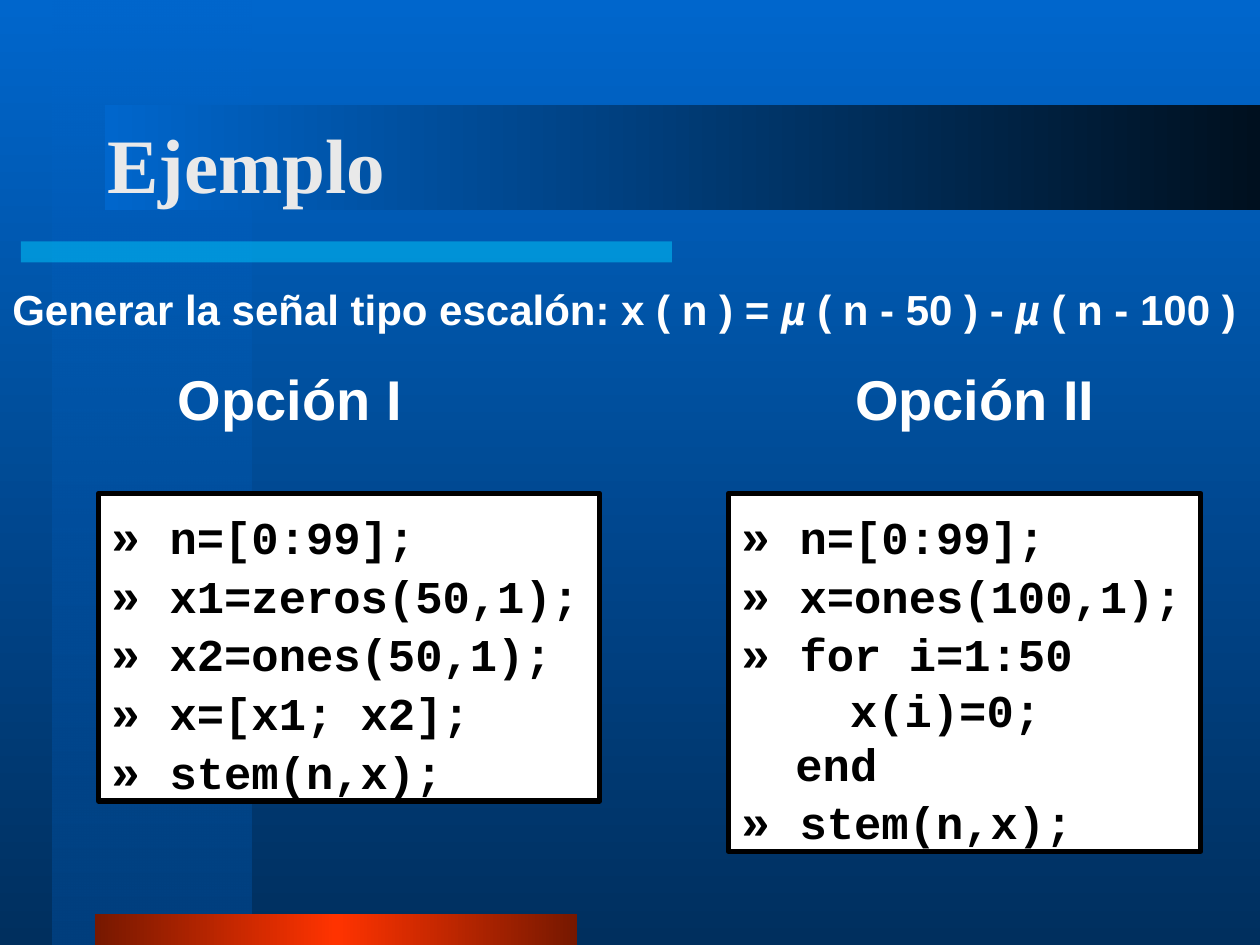
from dataclasses import dataclass
from typing import Optional

import lxml.etree
import pptx
import pptx.dml.color
import pptx.enum.shapes
import pptx.enum.text
import pptx.oxml.ns
import pptx.util

Pt = pptx.util.Pt
RGB = pptx.dml.color.RGBColor
ANCHOR = pptx.enum.text.MSO_ANCHOR
qn = pptx.oxml.ns.qn

BLUE = RGB(0x00, 0x66, 0xCC)
DEEP_BLUE = RGB(0x00, 0x2F, 0x5E)
MID_BLUE = RGB(0x00, 0x3F, 0x7E)
NIGHT = RGB(0x00, 0x10, 0x1F)
CYAN = RGB(0x00, 0xCC, 0xFF)
RED = RGB(0xFF, 0x33, 0x00)
DARK_RED = RGB(0x76, 0x18, 0x00)
PALE = RGB(0xE9, 0xE9, 0xE9)
WHITE = RGB(0xFF, 0xFF, 0xFF)
BLACK = RGB(0x00, 0x00, 0x00)

RIGHTWARD, DOWNWARD = 0, 270
PROMPT = "» "
PROMPT_SIZE, CODE_SIZE = 28, 26
PROMPT_PITCH, CODE_PITCH = 33.5, 31.2
CHAR_WIDTH = CODE_SIZE * 0.6


@dataclass
class Box:
    left: float
    top: float
    width: float
    height: float


@dataclass
class Stop:
    color: RGB
    alpha: int = 100


@dataclass
class Band:
    box: Box
    stops: list[Stop]
    angle: int = RIGHTWARD


@dataclass
class CodeLine:
    text: str
    indent: Optional[int] = None


@dataclass
class Listing:
    box: Box
    lines: list[CodeLine]


BANDS = [
    Band(Box(30, 0, 114, 540), [Stop(BLUE, 50), Stop(MID_BLUE)], DOWNWARD),
    Band(Box(12, 138, 372, 12), [Stop(CYAN, 50), Stop(CYAN, 50)]),
    Band(Box(54, 522, 276, 18), [Stop(DARK_RED), Stop(RED), Stop(DARK_RED)]),
    Band(Box(60, 60, 660, 60), [Stop(BLUE), Stop(NIGHT)]),
]

LISTINGS = [
    Listing(Box(56.25, 282, 286.5, 175.75), [
        CodeLine("n=[0:99];"),
        CodeLine("x1=zeros(50,1);"),
        CodeLine("x2=ones(50,1);"),
        CodeLine("x=[x1; x2];"),
        CodeLine("stem(n,x);"),
    ]),
    Listing(Box(416.25, 282, 270, 204.5), [
        CodeLine("n=[0:99];"),
        CodeLine("x=ones(100,1);"),
        CodeLine("for i=1:50"),
        CodeLine("x(i)=0;", 4),
        CodeLine("end", 2),
        CodeLine("stem(n,x);"),
    ]),
]

FORMULA = [
    ("Generar la señal tipo escalón: x ( n ) = ", False),
    ("µ ", True),
    ("( n - 50 ) - ", False),
    ("µ ", True),
    ("( n - 100 )", False),
]


def set_all(target, values: dict) -> None:
    for name, value in values.items():
        setattr(target, name, value)


def lengths(box: Box) -> list:
    return [Pt(v) for v in (box.left, box.top, box.width, box.height)]


def set_gradient(fill, element, stops: list[Stop], angle: int) -> None:
    fill.gradient()
    fill.gradient_angle = angle
    gs_list = next(element.iter(qn("a:gsLst")))
    for gs in list(gs_list):
        gs_list.remove(gs)
    for i, stop in enumerate(stops):
        gs = lxml.etree.SubElement(gs_list, qn("a:gs"), pos=str(i * 100000 // (len(stops) - 1)))
        clr = lxml.etree.SubElement(gs, qn("a:srgbClr"), val=str(stop.color))
        if stop.alpha < 100:
            lxml.etree.SubElement(clr, qn("a:alpha"), val=str(stop.alpha * 1000))


def add_rect(s, box: Box):
    sp = s.shapes.add_shape(pptx.enum.shapes.MSO_SHAPE.RECTANGLE, *lengths(box))
    sp.shadow.inherit = False
    return sp


def add_band(s, band: Band) -> None:
    sp = add_rect(s, band.box)
    set_gradient(sp.fill, sp.element, band.stops, band.angle)
    sp.line.fill.background()


def add_run(p, text: str, size: float, font: str, color: RGB, italic: bool = False) -> None:
    r = p.add_run()
    r.text = text
    set_all(r.font, {"size": Pt(size), "name": font, "bold": True, "italic": italic})
    r.font.color.rgb = color


def format_frame(tf, top: float = 3.6, right: float = 7.2, anchor=ANCHOR.TOP) -> None:
    set_all(tf, {
        "word_wrap": True,
        "auto_size": pptx.enum.text.MSO_AUTO_SIZE.NONE,
        "vertical_anchor": anchor,
        "margin_left": Pt(7.2),
        "margin_right": Pt(right),
        "margin_top": Pt(top),
        "margin_bottom": Pt(3.6),
    })


def add_text(s, box: Box, top: float, right: float = 7.2):
    tf = s.shapes.add_textbox(*lengths(box)).text_frame
    format_frame(tf, top, right)
    return tf.paragraphs[0]


def set_tabs(p, positions: list[float]) -> None:
    tabs = lxml.etree.SubElement(p._p.get_or_add_pPr(), qn("a:tabLst"))
    for position in positions:
        lxml.etree.SubElement(tabs, qn("a:tab"), pos=str(Pt(position)), algn="l")


def add_listing(s, listing: Listing) -> None:
    sp = add_rect(s, listing.box)
    sp.fill.solid()
    sp.fill.fore_color.rgb = WHITE
    sp.line.color.rgb = BLACK
    sp.line.width = Pt(3)
    tf = sp.text_frame
    format_frame(tf, top=7)
    for i, line in enumerate(listing.lines):
        p = tf.add_paragraph() if i else tf.paragraphs[0]
        p.alignment = pptx.enum.text.PP_ALIGN.LEFT
        if line.indent is None:
            p.line_spacing = Pt(PROMPT_PITCH)
            add_run(p, PROMPT, PROMPT_SIZE, "Courier New", BLACK)
        else:
            p.line_spacing = Pt(CODE_PITCH)
            p._p.get_or_add_pPr().set("marL", str(Pt(line.indent * CHAR_WIDTH)))
        add_run(p, line.text, CODE_SIZE, "Courier New", BLACK)


def add_title(s, text: str) -> None:
    sp = s.shapes.title
    s.shapes._spTree.append(sp.element)
    set_all(sp, dict(zip(("left", "top", "width", "height"), lengths(Box(54, 48, 612, 90)))))
    format_frame(sp.text_frame, anchor=ANCHOR.MIDDLE)
    p = sp.text_frame.paragraphs[0]
    p.alignment = pptx.enum.text.PP_ALIGN.LEFT
    add_run(p, text, 44, "Times New Roman", PALE)


def main() -> None:
    prs = pptx.Presentation()
    set_all(prs, {"slide_width": Pt(720), "slide_height": Pt(540)})
    s = prs.slides.add_slide(prs.slide_layouts[5])
    set_gradient(s.background.fill, s.element, [Stop(BLUE), Stop(DEEP_BLUE)], DOWNWARD)
    for band in BANDS:
        add_band(s, band)
    add_title(s, "Ejemplo")
    p = add_text(s, Box(10, 156, 710, 120), top=52.5)
    set_tabs(p, [84.5, 471.5])
    add_run(p, "\tOpción I\tOpción II", 32, "Arial", WHITE)
    for listing in LISTINGS:
        add_listing(s, listing)
    p = add_text(s, Box(0, 156, 720, 120), top=6, right=0)
    for text, italic in FORMULA:
        add_run(p, text, 24, "Arial", WHITE, italic)
    prs.save("out.pptx")


if __name__ == "__main__":
    main()
